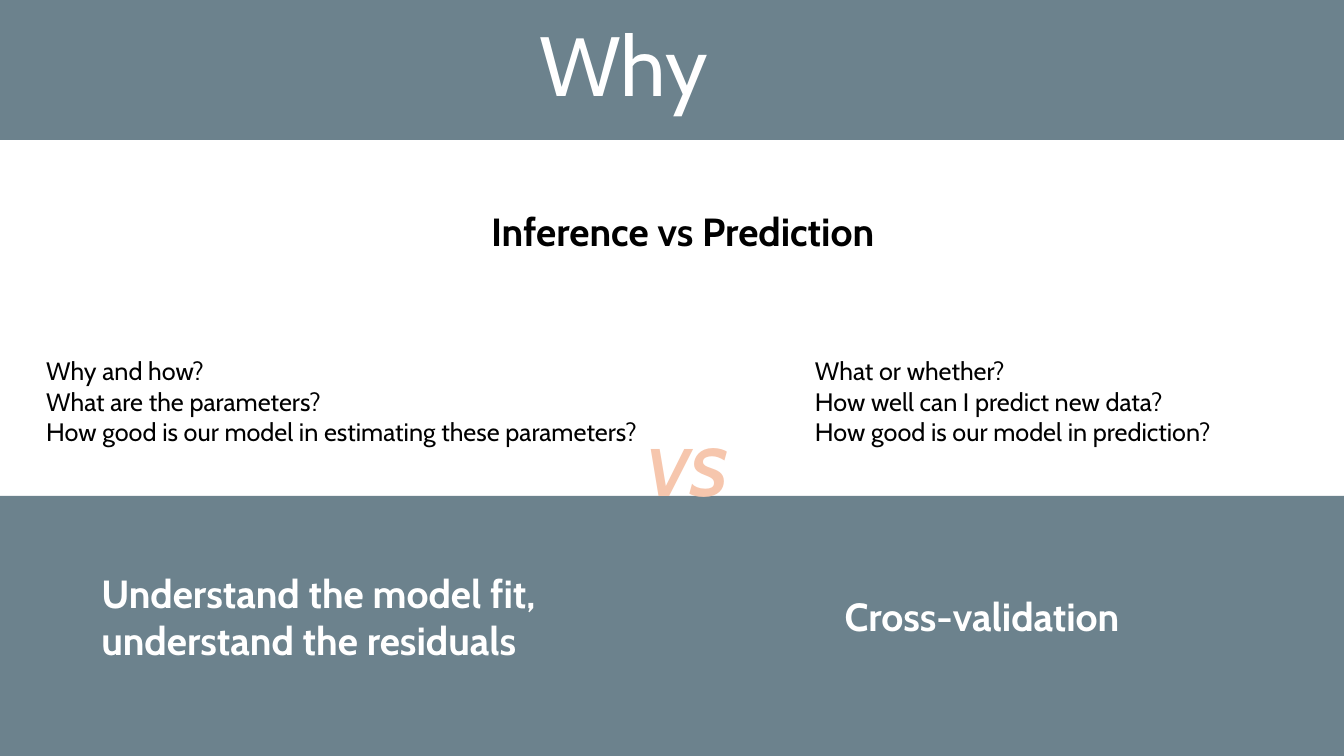
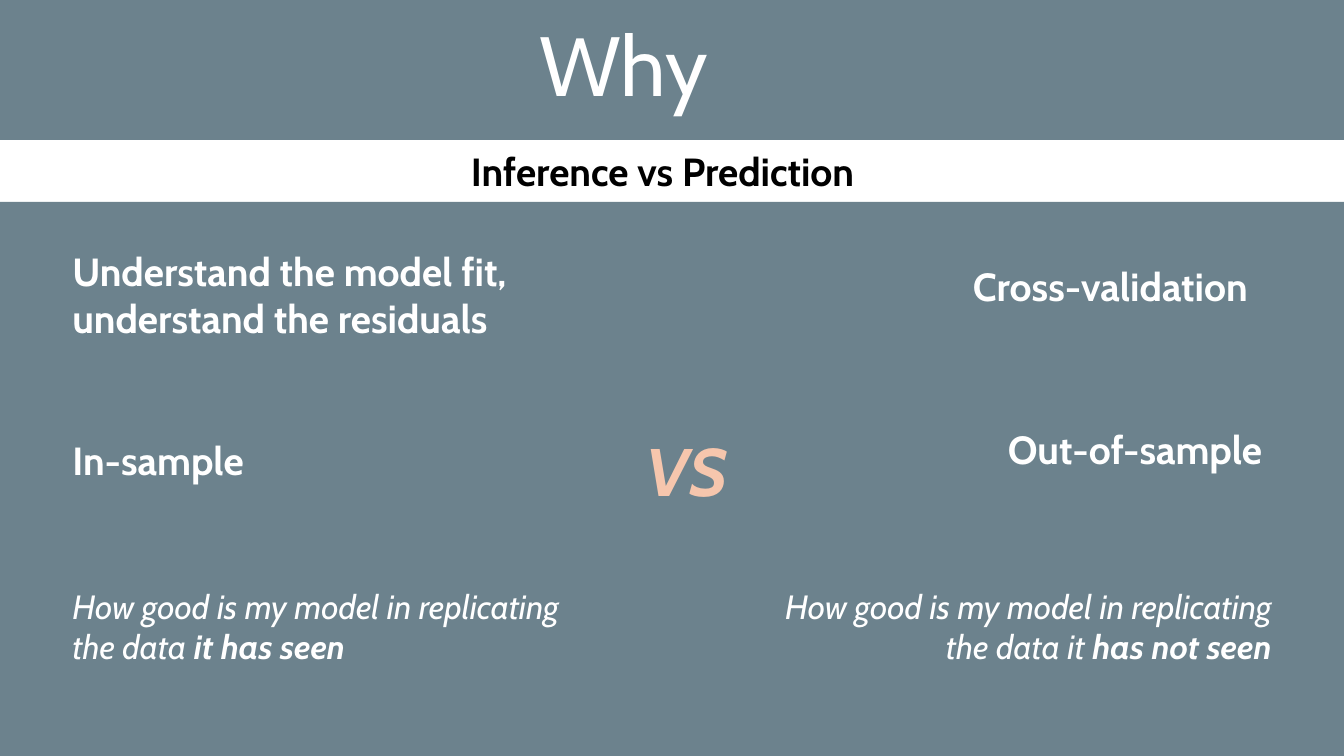
from lxml import etree
from pptx import Presentation
from pptx import util as u
from pptx.dml import color
from pptx.enum import shapes, text
from pptx.oxml import ns

WIDTH, HEIGHT = 13.33, 7.5
COLUMN, ROW = WIDTH / 100, HEIGHT / 100  # grid of 100 columns by 100 rows
FONT = "Cabin"
NAVY, WHITE, BLACK, PEACH = "0B3041", "FFFFFF", "000000", "F6C6AD"
BAND_OPACITY = 60
TITLE_BAND_ROWS = 18.5
MARGIN = 4.65
HEADING = {"size": 28, "bold": True}
LINE, TWO_LINES = 7.6, 13.9  # rows taken by headings
HEADING_WIDTHS = {"topic": 32.3, "fit": 36.4, "cross": 23.7}
FIT = ["Understand the model fit,", "understand the residuals"]
LEFT, CENTER, RIGHT = text.PP_ALIGN.LEFT, text.PP_ALIGN.CENTER, text.PP_ALIGN.RIGHT


def rgb(value):
    return color.RGBColor.from_string(value)


def area(left, top, width, height):
    """Turn grid columns and rows into slide lengths."""
    return (u.Inches(left * COLUMN), u.Inches(top * ROW),
            u.Inches(width * COLUMN), u.Inches(height * ROW))


def from_right(width):
    """Left column of a box that ends at the right margin."""
    return 100 - MARGIN - width


def add_band(page, top, rows):
    band = page.shapes.add_shape(shapes.MSO_SHAPE.RECTANGLE, *area(0, top, 100, rows))
    band.shadow.inherit = False
    band.line.fill.background()
    band.fill.solid()
    band.fill.fore_color.rgb = rgb(NAVY)
    fill_color = band.fill._xPr.find(".//" + ns.qn("a:srgbClr"))
    etree.SubElement(fill_color, ns.qn("a:alpha"), val=str(BAND_OPACITY * 1000))


def add_text(page, place, paragraphs, size=18, ink=WHITE, bold=False, italic=False,
             align=LEFT, wrap=False, anchor=text.MSO_ANCHOR.TOP, spacing=1.0, grow=True):
    """Write paragraphs; each is a string or a list of (words, bold) spans."""
    box = page.shapes.add_textbox(*area(*place))
    frame = box.text_frame
    frame.word_wrap = wrap
    frame.vertical_anchor = anchor
    if grow:
        frame.auto_size = text.MSO_AUTO_SIZE.SHAPE_TO_FIT_TEXT
    for index, content in enumerate(paragraphs):
        para = frame.add_paragraph() if index else frame.paragraphs[0]
        para.alignment = align
        para.line_spacing = spacing
        spans = [(content, bold)] if isinstance(content, str) else content
        for words, strong in spans:
            span = para.add_run()
            span.text = words
            font = span.font
            font.name, font.size = FONT, u.Pt(size)
            font.bold, font.italic = strong, italic
            font.color.rgb = rgb(ink)


def add_heading(page, left, top, width, *lines, ink=WHITE):
    height = LINE if len(lines) == 1 else TWO_LINES
    add_text(page, (left, top, width, height), lines, ink=ink, **HEADING)


def add_page(deck, lower_band, topic_left, topic_top):
    """Start a slide with its bands, title, topic and central VS."""
    page = deck.slides.add_slide(deck.slide_layouts[6])
    add_band(page, lower_band, 100 - lower_band)
    add_band(page, 0, TITLE_BAND_ROWS)
    add_text(page, (1.3, 1.9, 90.2, 13.9), ["Why"], size=60, align=CENTER, wrap=True,
             anchor=text.MSO_ANCHOR.BOTTOM, spacing=0.9, grow=False)
    add_heading(page, topic_left, topic_top, HEADING_WIDTHS["topic"],
                "Inference vs Prediction", ink=BLACK)
    add_text(page, (47.4, 56.1, 7.6, 12.1), ["VS"], size=48, ink=PEACH,
             bold=True, italic=True)
    return page


def add_questions_page(deck):
    page = add_page(deck, 65.6, 35.8, 26.8)
    columns = [
        (2.7, 47, ["Why and how?", "What are the parameters?",
                   "How good is our model in estimating these parameters?"]),
        (59.9, 31.6, ["What or whether?", "How well can I predict new data?",
                      "How good is our model in prediction?"]),
    ]
    for left, width, questions in columns:
        add_text(page, (left, 46.4, width, 13.5), questions, ink=BLACK)
    add_heading(page, 6.8, 74.7, HEADING_WIDTHS["fit"], *FIT)
    add_heading(page, 62.1, 77.7, HEADING_WIDTHS["cross"], "Cross-validation")


def add_samples_page(deck):
    page = add_page(deck, 26.7, 34.3, 18.9)
    cross, sample, summary = HEADING_WIDTHS["cross"], 21.1, 40.35
    add_heading(page, MARGIN, 32.1, HEADING_WIDTHS["fit"], *FIT)
    add_heading(page, from_right(cross), 34.1, cross, "Cross-validation")
    add_heading(page, MARGIN, 57.1, 15.1, "In-sample")
    add_heading(page, from_right(sample), 55.6, sample, "Out-of-sample")
    summaries = [
        (MARGIN, LEFT, "the data ", "it has seen"),
        (from_right(summary), RIGHT, "the data it ", "has not seen"),
    ]
    for left, align, plain, strong in summaries:
        spans = [("How good is my model in replicating " + plain, False), (strong, True)]
        add_text(page, (left, 76.8, summary, 12.1), [spans], size=24, italic=True,
                 align=align, wrap=True)


def main():
    deck = Presentation()
    deck.slide_width, deck.slide_height = u.Inches(WIDTH), u.Inches(HEIGHT)
    add_questions_page(deck)
    add_samples_page(deck)
    deck.save("out.pptx")


if __name__ == "__main__":
    main()
